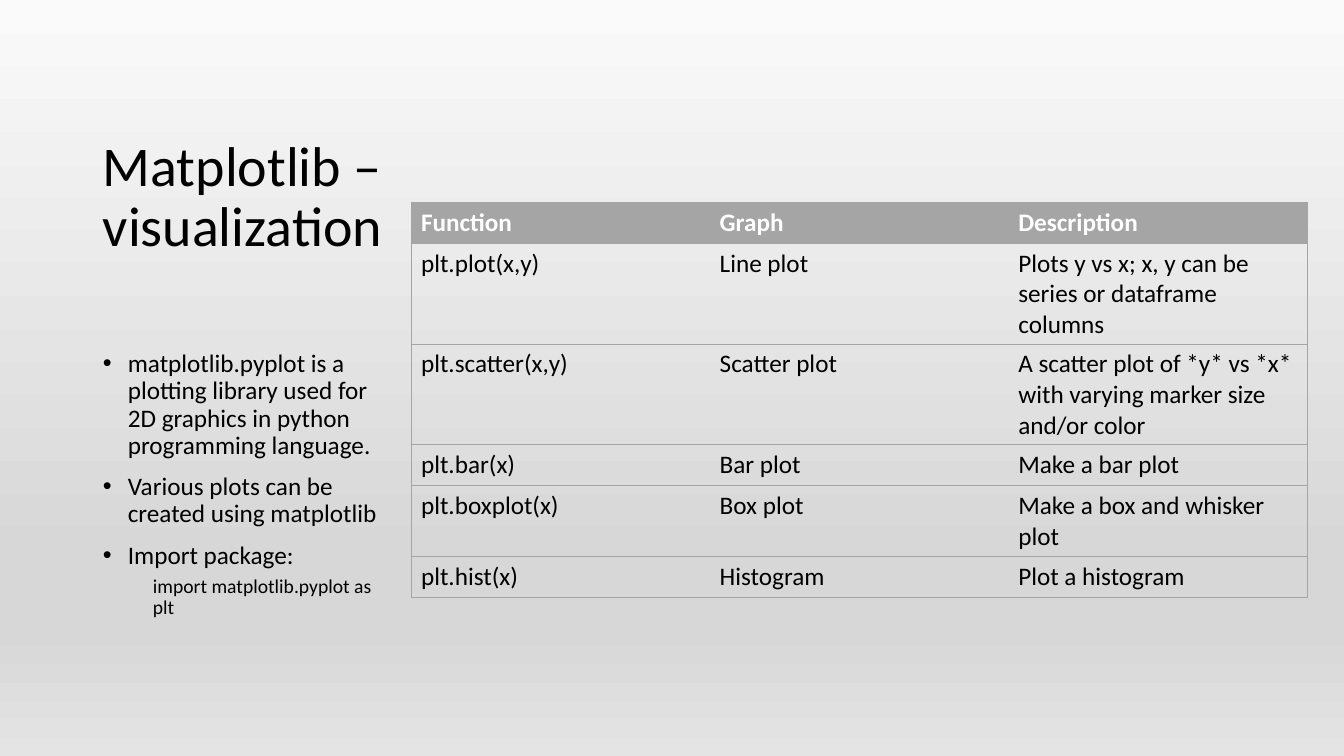
from lxml import etree
from pptx import Presentation
from pptx import util as u
from pptx.dml.color import RGBColor
from pptx.enum import text
from pptx.oxml import ns

SCALE = 914400 / 100.8
FONT = "Calibri"
BLACK = RGBColor(0, 0, 0)
WHITE = RGBColor(255, 255, 255)
GRAY = RGBColor(0xA5, 0xA5, 0xA5)
STOPS = [
    (0, RGBColor(0xFA, 0xFA, 0xFA)),
    (74, RGBColor(0xD7, 0xD7, 0xD7)),
    (83, RGBColor(0xD7, 0xD7, 0xD7)),
    (100, RGBColor(0xE4, 0xE4, 0xE4)),
]
POINTS = [
    "matplotlib.pyplot is a plotting library used for 2D graphics in python programming language.",
    "Various plots can be created using matplotlib",
    "Import package:",
]
PLOTS = [
    ("Function", "Graph", "Description"),
    ("plt.plot(x,y)", "Line plot", "Plots y vs x; x, y can be series or dataframe columns"),
    ("plt.scatter(x,y)", "Scatter plot",
     "A scatter plot of *y* vs *x* with varying marker size and/or color"),
    ("plt.bar(x)", "Bar plot", "Make a bar plot"),
    ("plt.boxplot(x)", "Box plot", "Make a box and whisker plot"),
    ("plt.hist(x)", "Histogram", "Plot a histogram"),
]


def px(num):
    return u.Emu(round(num * SCALE))


def add(node, tag, **attrs):
    return etree.SubElement(node, ns.qn(tag), attrs)


def shade(slide):
    fill = slide.background.fill
    fill.gradient()
    fill.gradient_angle = 270
    stops = next(slide.element.iter(ns.qn("a:gsLst")))
    for stop in list(stops):
        stops.remove(stop)
    for pos, color in STOPS:
        stop = add(stops, "a:gs", pos=str(pos * 1000))
        add(stop, "a:srgbClr", val=str(color))


def write(para, words, size=18, color=BLACK, bold=False, line=None,
          before=0, left=0, hang=0, level=0):
    run = para.add_run()
    run.text = words
    font = run.font
    font.name, font.size, font.bold = FONT, u.Pt(size), bold
    font.color.rgb = color
    para.level = level
    para.space_before = u.Pt(before)
    if line:
        para.line_spacing = line
    props = para._p.get_or_add_pPr()
    props.set("marL", str(px(left)))
    props.set("indent", str(px(-hang)))
    if hang:
        add(props, "a:buFont", typeface="Arial")
        add(props, "a:buChar", char="•")


def box(slide, left, top, width, height, anchor=text.MSO_ANCHOR.TOP, bottom=5):
    frame = slide.shapes.add_textbox(px(left), px(top), px(width), px(height)).text_frame
    frame.word_wrap = True
    frame.vertical_anchor = anchor
    frame.margin_bottom = px(bottom)
    return frame


def edge(cell, side, shown):
    line = add(cell._tc.get_or_add_tcPr(), f"a:ln{side}", w=str(u.Pt(0.5)))
    if shown:
        add(add(line, "a:solidFill"), "a:srgbClr", val=str(GRAY))
    else:
        add(line, "a:noFill")


def grid(slide, rows, left, top, width, step):
    cols = len(rows[0])
    table = slide.shapes.add_table(
        len(rows), cols, px(left), px(top), px(width), px(step * len(rows))).table
    table.horz_banding = False
    for r, row in enumerate(rows):
        head = r == 0
        for c, words in enumerate(row):
            cell = table.cell(r, c)
            edge(cell, "L", c == 0)
            edge(cell, "R", c == cols - 1)
            edge(cell, "T", True)
            edge(cell, "B", True)
            if head:
                cell.fill.solid()
                cell.fill.fore_color.rgb = GRAY
            else:
                cell.fill.background()
            write(cell.text_frame.paragraphs[0], words,
                  color=WHITE if head else BLACK, bold=head)


def main():
    deck = Presentation()
    deck.slide_width, deck.slide_height = px(1344), px(756)
    slide = deck.slides.add_slide(deck.slide_layouts[6])
    shade(slide)
    title = box(slide, 93, 71, 308, 254, anchor=text.MSO_ANCHOR.BOTTOM, bottom=66)
    write(title.paragraphs[0], "Matplotlib – visualization", size=40, line=0.9)
    body = box(slide, 93, 346, 305, 340)
    for i, point in enumerate(POINTS):
        para = body.add_paragraph() if i else body.paragraphs[0]
        write(para, point, line=0.9, before=10, left=25, hang=25)
    write(body.add_paragraph(), "import matplotlib.pyplot as plt",
          size=14, line=0.9, before=5, left=50, level=1)
    grid(slide, PLOTS, 411, 202, 896, 41)
    deck.save("out.pptx")


if __name__ == "__main__":
    main()
